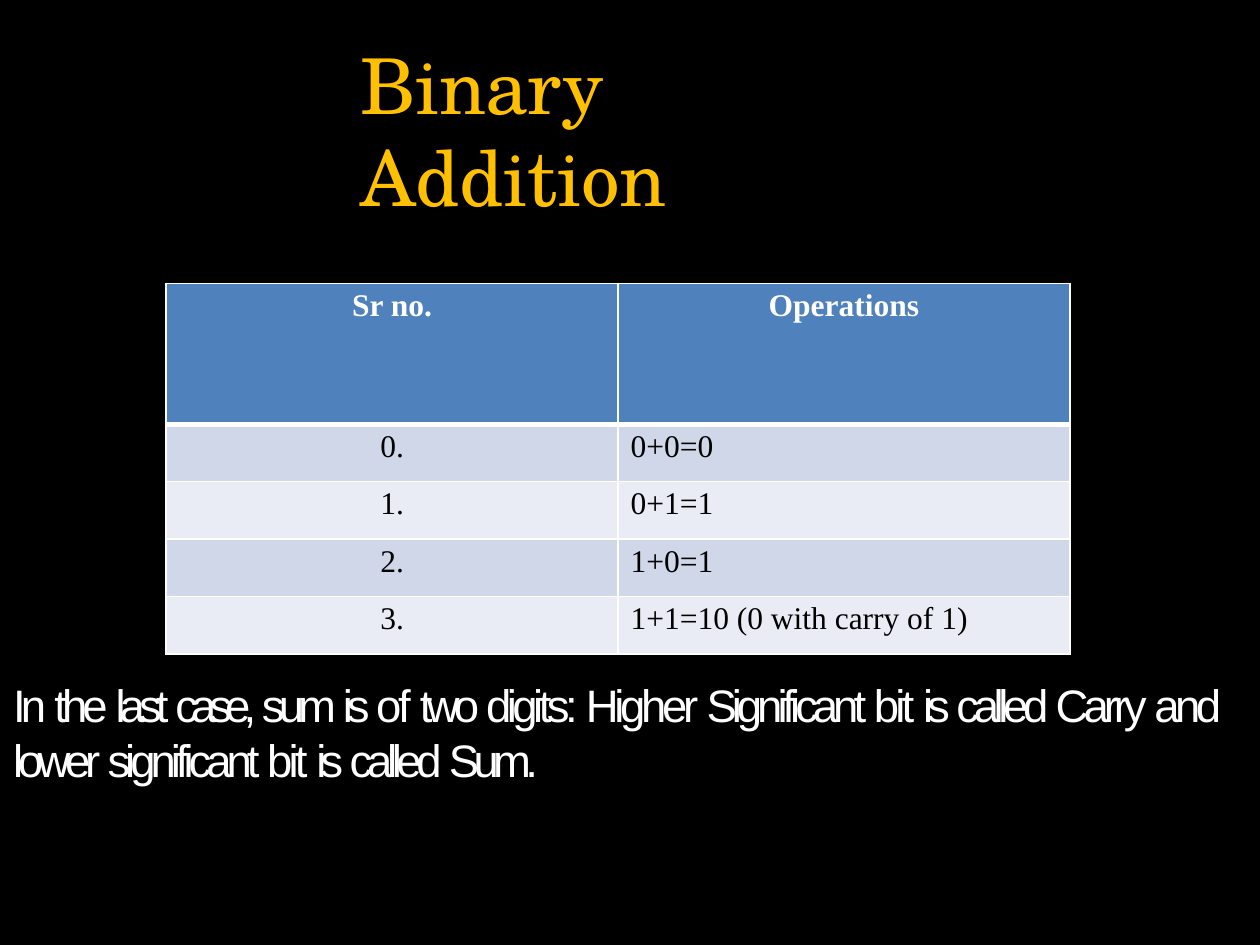
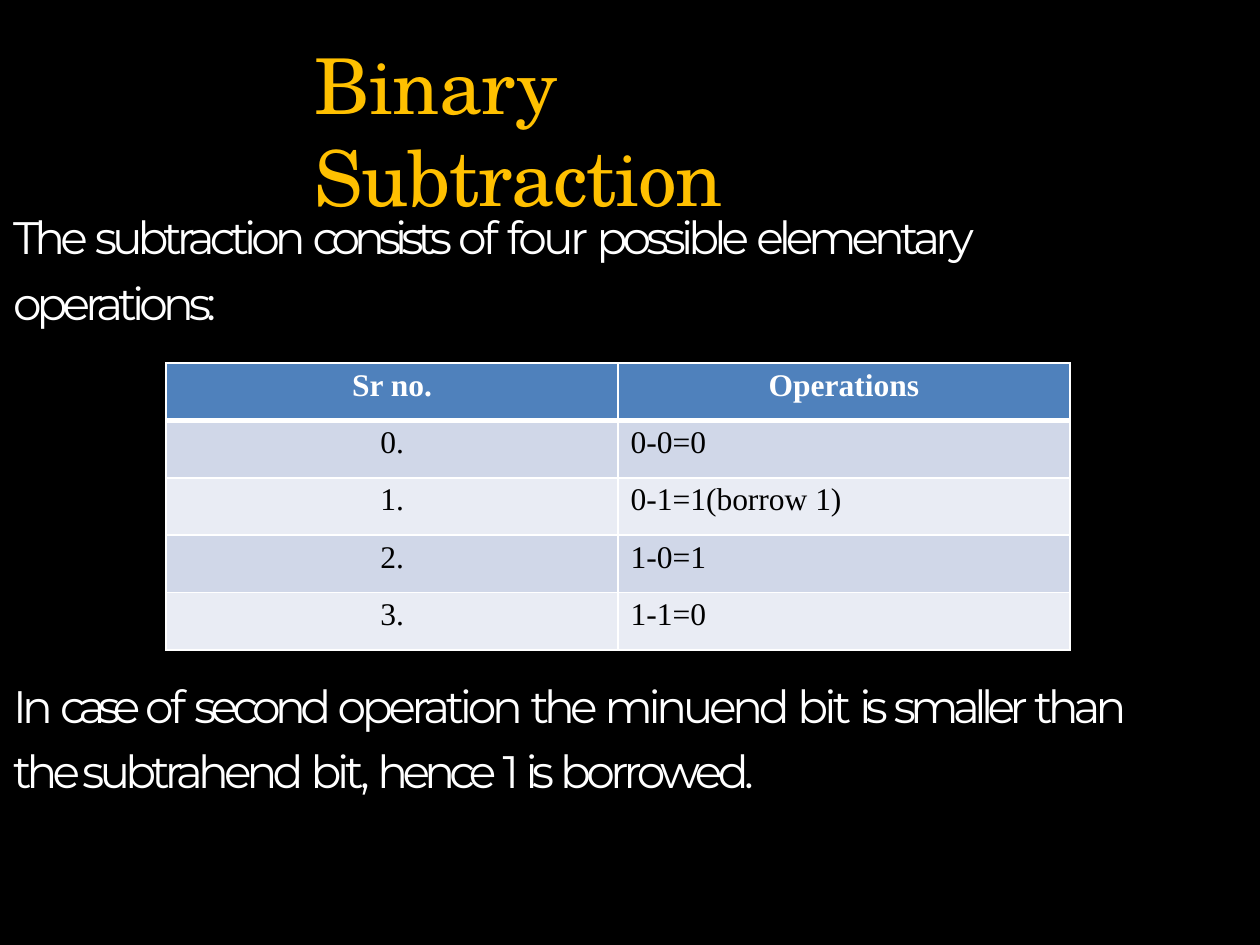
import itertools
from dataclasses import dataclass

import lxml.etree
import pptx
import pptx.dml.color
import pptx.enum.text
import pptx.oxml.ns
import pptx.util

Pt = pptx.util.Pt
ALIGN = pptx.enum.text.PP_ALIGN


@dataclass(frozen=True)
class Theme:
    background: str = "000000"
    title: str = "FFC000"
    prose: str = "FFFFFF"
    header_fill: str = "4F81BC"
    header_text: str = "FFFFFF"
    cell_text: str = "000000"
    bands: tuple = ("D0D7E8", "E9ECF4")
    border: str = "FFFFFF"
    title_font: str = "TeX Gyre Schola"
    table_font: str = "Times New Roman"
    title_size: float = 44
    prose_size: float = 26
    table_size: float = 18


THEME = Theme()
ROW_HEIGHT = 32.8
TABLE_LEFT, COLUMN_WIDTH = 95, 258.2
PROSE_LEFT = 6.5

WORDS_BY_TRACKING = {
    -0.2: "addition",
    -0.4: "binary",
    -0.6: "subtraction_title",
    -2: "of",
    -2.1: "four",
    -2.2: "bit",
    -2.4: "bit,",
    -2.5: "higher operation minuend",
    -2.6: "digits: and borrowed.",
    -2.7: "in",
    -2.8: "the than subtrahend possible operations:",
    -2.9: "significant carry subtraction elementary",
    -3: "1",
    -3.1: "called lower",
    -3.2: "second smaller",
    -3.3: "two sum. hence",
    -3.4: "last sum",
    -3.5: "is consists",
    -4: "case,",
    -4.2: "case",
}
TRACKING = {word: points for points, words in WORDS_BY_TRACKING.items()
            for word in words.split()}
TITLE_TRACKING = {**TRACKING, "subtraction": TRACKING["subtraction_title"]}


def rgb(value):
    return pptx.dml.color.RGBColor.from_string(value)


def write(frame, text, *, font, size, color, bold=False, align=ALIGN.LEFT,
          line_spacing=None, tracking=None):
    tracking = tracking or {}
    paragraph = frame.paragraphs[0]
    paragraph.alignment = align
    if line_spacing:
        paragraph.line_spacing = line_spacing
    groups = [(points, " ".join(words)) for points, words in itertools.groupby(
        text.split(), key=lambda word: tracking.get(word.lower(), 0))]
    for index, (points, words) in enumerate(groups, 1):
        run = paragraph.add_run()
        run.text = words if index == len(groups) else words + " "
        run.font.name = font
        run.font.size = Pt(size)
        run.font.bold = bold
        run.font.color.rgb = rgb(color)
        if points:
            run._r.get_or_add_rPr().set("spc", str(round(points * 100)))


def add_text(slide, text, left, top, width, height, **style):
    frame = slide.shapes.add_textbox(Pt(left), Pt(top), Pt(width), Pt(height)).text_frame
    frame.word_wrap = True
    frame.auto_size = pptx.enum.text.MSO_AUTO_SIZE.SHAPE_TO_FIT_TEXT
    frame.margin_left, frame.margin_top = Pt(1), Pt(1)
    frame.margin_right = frame.margin_bottom = 0
    write(frame, text, **style)


def add_title(slide, text, left, width):
    add_text(slide, text, left, 20.2, width, 54.7, font=THEME.title_font,
             size=THEME.title_size, color=THEME.title, tracking=TITLE_TRACKING)


def add_prose(slide, text, top, width, height, font, line_spacing=None):
    add_text(slide, text, PROSE_LEFT, top, width, height, font=font,
             size=THEME.prose_size, color=THEME.prose,
             line_spacing=line_spacing, tracking=TRACKING)


def set_borders(cell, top=1, bottom=1):
    properties = cell._tc.get_or_add_tcPr()
    qn = pptx.oxml.ns.qn
    sides = (("a:lnL", 1), ("a:lnR", 1), ("a:lnT", top), ("a:lnB", bottom))
    for position, (tag, width) in enumerate(sides):
        line = lxml.etree.Element(qn(tag), w=str(Pt(width)))
        fill = lxml.etree.SubElement(line, qn("a:solidFill"))
        lxml.etree.SubElement(fill, qn("a:srgbClr"), val=THEME.border)
        properties.insert(position, line)


def add_operations_table(slide, operations, top, header_height=ROW_HEIGHT):
    rows = [("Sr no.", "Operations")]
    rows += [(f"{number}.", operation) for number, operation in enumerate(operations)]
    heights = [header_height] + [ROW_HEIGHT] * len(operations)
    table = slide.shapes.add_table(
        len(rows), 2, Pt(TABLE_LEFT), Pt(top),
        Pt(2 * COLUMN_WIDTH), Pt(sum(heights))).table
    for column in table.columns:
        column.width = Pt(COLUMN_WIDTH)
    for r, (entries, height) in enumerate(zip(rows, heights)):
        table.rows[r].height = Pt(height)
        header = r == 0
        for c, entry in enumerate(entries):
            cell = table.cell(r, c)
            centred = header or c == 0
            cell.margin_left = 0 if centred else Pt(7.2)
            cell.margin_right = cell.margin_bottom = 0
            cell.margin_top = Pt(2.9)
            cell.fill.solid()
            cell.fill.fore_color.rgb = rgb(
                THEME.header_fill if header else THEME.bands[(r - 1) % 2])
            set_borders(cell, top=3 if r == 1 else 1, bottom=3 if header else 1)
            write(cell.text_frame, entry, font=THEME.table_font,
                  size=THEME.table_size, bold=header,
                  color=THEME.header_text if header else THEME.cell_text,
                  align=ALIGN.CENTER if centred else ALIGN.LEFT)


def build_addition(slide):
    add_title(slide, "Binary Addition", 205.2, 310.3)
    add_operations_table(
        slide, ("0+0=0", "0+1=1", "1+0=1", "1+1=10 (0 with carry of 1)"),
        162, header_height=80.4)
    add_prose(slide, "In the last case, sum is of two digits: Higher Significant bit "
              "is called Carry and lower significant bit is called Sum.",
              385.9, 707.8, 64.8, "Arial")


def build_subtraction(slide):
    add_prose(slide, "The subtraction consists of four possible elementary operations:",
              112.3, 622.8, 77, "Montserrat", line_spacing=1.2)
    add_title(slide, "Binary Subtraction", 178.6, 363.6)
    add_prose(slide, "In case of second operation the minuend bit is smaller than "
              "the subtrahend bit, hence 1 is borrowed.",
              380.2, 651.6, 77, "Montserrat", line_spacing=1.2)
    add_operations_table(slide, ("0-0=0", "0-1=1(borrow 1)", "1-0=1", "1-1=0"), 207.4)


def main():
    deck = pptx.Presentation()
    deck.slide_width, deck.slide_height = Pt(720), Pt(540)
    backdrop = deck.slide_master.background.fill
    backdrop.solid()
    backdrop.fore_color.rgb = rgb(THEME.background)
    for build in (build_addition, build_subtraction):
        build(deck.slides.add_slide(deck.slide_layouts[6]))
    deck.save("out.pptx")


if __name__ == "__main__":
    main()
